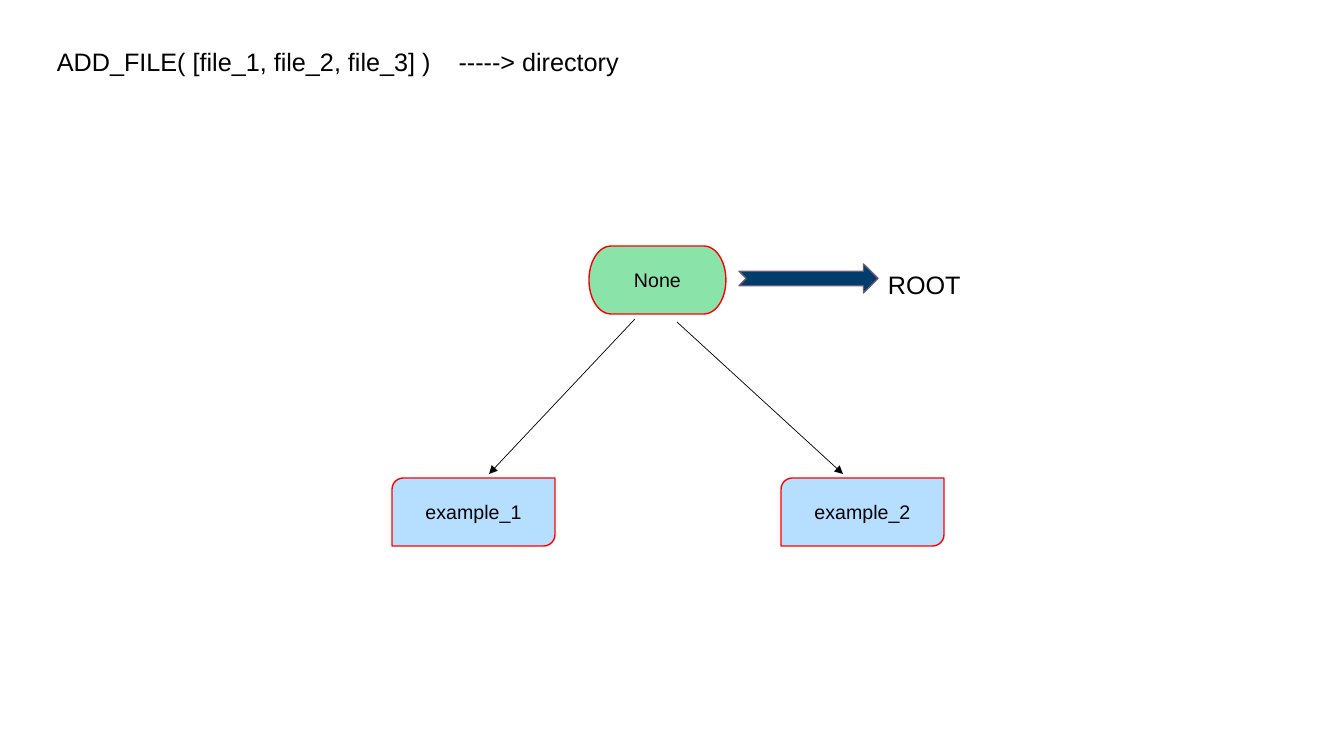
from lxml import etree
from pptx import Presentation
from pptx.dml.color import RGBColor
from pptx.enum.shapes import MSO_CONNECTOR, MSO_SHAPE
from pptx.enum.text import MSO_ANCHOR, MSO_AUTO_SIZE, PP_ALIGN
from pptx.oxml.ns import qn
from pptx.util import Emu, Pt

LINE = MSO_CONNECTOR.STRAIGHT
LEAF = MSO_SHAPE.ROUND_2_DIAG_RECTANGLE
ROOT = MSO_SHAPE.FLOWCHART_TERMINATOR
ARROW = MSO_SHAPE.NOTCHED_RIGHT_ARROW
MIDDLE = MSO_ANCHOR.MIDDLE
CENTER, LEFT = PP_ALIGN.CENTER, PP_ALIGN.LEFT
GROW = MSO_AUTO_SIZE.SHAPE_TO_FIT_TEXT

FONT = "Arial"
BLACK, RED, BLUE, GREEN = "000000", "FF0000", "B6DFFF", "8AE3A8"
NAVY, MAUVE = "003D6D", "6F5B6F"


def px(*sizes):
    """Turn pixels, 100.8 to the inch, into EMU."""
    return [Emu(round(size * 914400 / 100.8)) for size in sizes]


def color(code):
    return RGBColor.from_string(code)


class Board:
    """Draws the tree's elements on one slide."""

    def __init__(self, slide):
        self.shapes = slide.shapes

    def fill_text(self, frame, text, size, align):
        frame.word_wrap = True
        frame.text = text
        para = frame.paragraphs[0]
        para.alignment = align
        font = para.runs[0].font
        font.name, font.size = FONT, Pt(size)
        font.color.rgb = color(BLACK)

    def label(self, text, x, y, w, h):
        frame = self.shapes.add_textbox(*px(x, y, w, h)).text_frame
        self.fill_text(frame, text, 18, LEFT)
        frame.auto_size = GROW

    def shape(self, kind, x, y, w, h, fill, edge, text=""):
        shape = self.shapes.add_shape(kind, *px(x, y, w, h))
        shape.shadow.inherit = False
        shape.fill.solid()
        shape.fill.fore_color.rgb = color(fill)
        shape.line.color.rgb = color(edge)
        shape.line.width = Pt(1)
        if text:
            shape.text_frame.vertical_anchor = MIDDLE
            self.fill_text(shape.text_frame, text, 14, CENTER)

    def link(self, x1, y1, x2, y2):
        """Draw a thin line with its arrowhead at the second point."""
        link = self.shapes.add_connector(LINE, *px(x1, y1, x2, y2))
        link.line.color.rgb = color(BLACK)
        link.line.width = Pt(0.5)
        props = link._element.spPr
        etree.SubElement(props.find(qn("a:ln")), qn("a:tailEnd"), type="triangle")
        etree.SubElement(props, qn("a:effectLst"))


def main():
    deck = Presentation()
    deck.slide_width, deck.slide_height = px(1344, 756)
    board = Board(deck.slides.add_slide(deck.slide_layouts[6]))

    board.label("ADD_FILE( [file_1, file_2, file_3] )    -----> directory",
                47, 41, 620, 40)
    for name, x in (("example_1", 392), ("example_2", 781)):
        board.shape(LEAF, x, 478, 163, 68, BLUE, RED, name)
    board.shape(ROOT, 589, 246, 137, 68, GREEN, RED, "None")
    board.link(677, 322, 843, 474)
    board.link(635, 319, 489, 474)
    board.shape(ARROW, 739, 264, 139, 29, NAVY, MAUVE)
    board.label("ROOT", 878, 264, 141, 40)

    deck.save("out.pptx")


if __name__ == "__main__":
    main()
